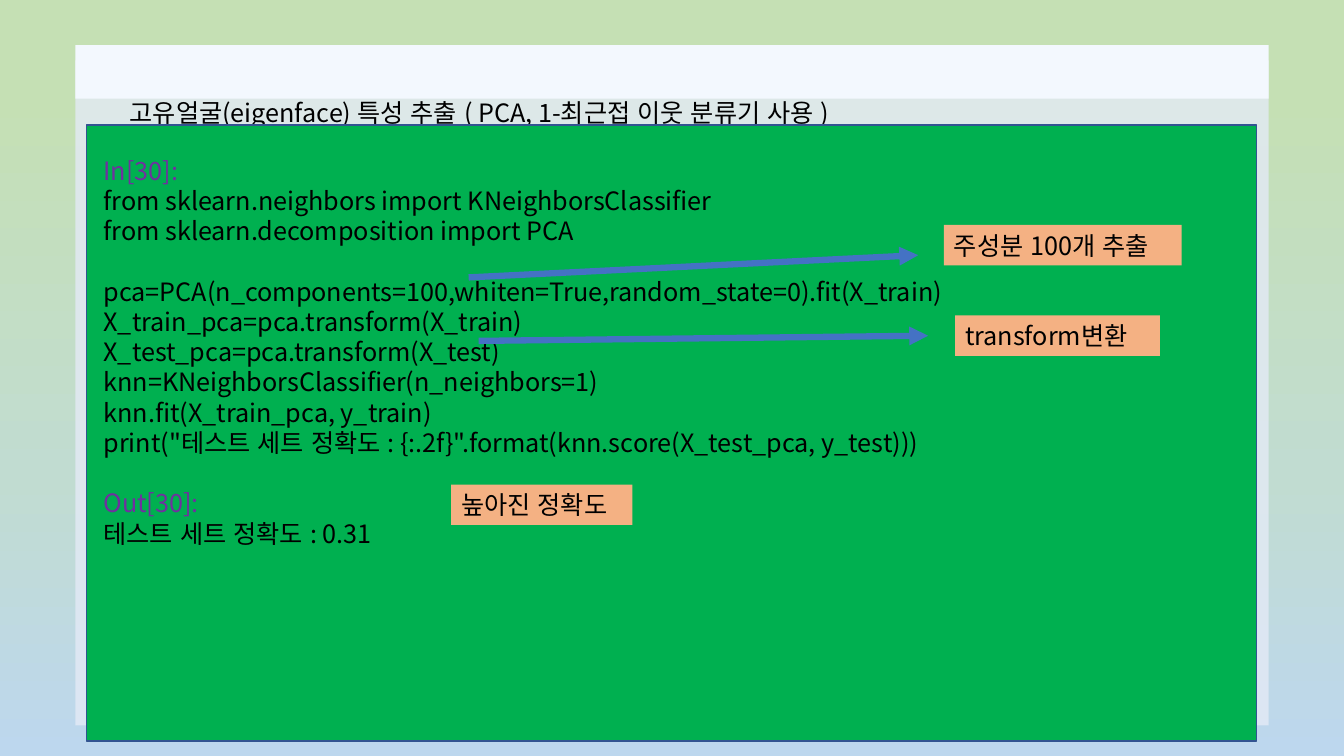
from dataclasses import dataclass

from lxml.etree import SubElement
from pptx import Presentation
from pptx.dml.color import RGBColor as RGB
from pptx.enum.lang import MSO_LANGUAGE_ID as Lang
from pptx.enum.shapes import MSO_CONNECTOR as Line, MSO_SHAPE as Shape
from pptx.enum.text import MSO_ANCHOR as Anchor, MSO_AUTO_SIZE as AutoSize, PP_ALIGN as Align
from pptx.oxml.ns import qn
from pptx.util import Cm, Pt


@dataclass(frozen=True)
class Theme:
    """Colours, font and type sizes of the slide."""
    font: str = "Noto Sans CJK KR"
    size: float = 18
    line_height: float = 21.6
    lead: float = 1.5
    text: str = "000000"
    prompt: str = "7030A0"
    panel: str = "E4EAF6"
    panel_opacity: int = 80
    band: str = "F3F8FE"
    code: str = "00B050"
    code_edge: str = "325491"
    callout: str = "F4B183"
    arrow: str = "4472C4"
    arrow_width: float = 4.5
    sky: tuple = ((12, "C5E0B4"), (63, "C1DCD1"), (100, "BDD7EE"))


T = Theme()
TITLE = "고유얼굴(eigenface) 특성 추출 ( PCA, 1-최근접 이웃 분류기 사용 )"
CODE_BLOCKS = [
    ["In[30]:",
     "from sklearn.neighbors import KNeighborsClassifier",
     "from sklearn.decomposition import PCA"],
    ["pca=PCA(n_components=100,whiten=True,random_state=0).fit(X_train)",
     "X_train_pca=pca.transform(X_train)",
     "X_test_pca=pca.transform(X_test)",
     "knn=KNeighborsClassifier(n_neighbors=1)",
     "knn.fit(X_train_pca, y_train)",
     'print("테스트 세트 정확도 : {:.2f}".format(knn.score(X_test_pca, y_test)))'],
    ["Out[30]:",
     "테스트 세트 정확도 : 0.31"],
]
CALLOUTS = [
    ("주성분 100개 추출", 21.61, 2.52, 5.99),
    ("transform변환", 21.89, 4.8, 5.16),
    ("높아진 정확도", 9.19, 9.06, 4.57),
]
ARROWS = [(9.63, 3.84, 20.96, 3.28), (9.88, 5.44, 21.21, 5.31)]


def apply(obj, formats):
    """Set every attribute named in formats on obj."""
    for name, value in formats.items():
        setattr(obj, name, value)


def add_box(s, box, color, edge=None):
    """Draw a flat rectangle with an optional thin outline."""
    sp = s.shapes.add_shape(Shape.RECTANGLE, *map(Cm, box))
    sp.shadow.inherit = False
    sp.fill.solid()
    sp.fill.fore_color.rgb = RGB.from_string(color)
    if edge:
        sp.line.color.rgb = RGB.from_string(edge)
        sp.line.width = Pt(1)
    else:
        sp.line.fill.background()
    return sp


def write(p, text, color=T.text, **formats):
    """Put one left-aligned run into a paragraph."""
    apply(p, {"alignment": Align.LEFT, **formats})
    r = p.add_run()
    r.text = text
    r.font.color.rgb = RGB.from_string(color)
    apply(r.font, {"size": Pt(T.size), "name": T.font, "language_id": Lang.KOREAN})
    SubElement(r.font._element, qn("a:ea")).set("typeface", T.font)


def add_text(s, box, wrap=True):
    """Add a text box and return its text frame."""
    tf = s.shapes.add_textbox(*map(Cm, box)).text_frame
    apply(tf, {"word_wrap": wrap, "auto_size": AutoSize.SHAPE_TO_FIT_TEXT,
               "vertical_anchor": Anchor.TOP})
    return tf


def add_background(s):
    """Fill the slide with a vertical gradient."""
    fill = s.background.fill
    fill.gradient()
    fill.gradient_angle = 270
    stops = s._element.find(".//" + qn("a:gsLst"))
    for stop in list(stops):
        stops.remove(stop)
    for position, color in T.sky:
        stop = SubElement(stops, qn("a:gs"), pos=str(position * 1000))
        SubElement(stop, qn("a:srgbClr"), val=color)


def add_header(s, x, y, w, h):
    """Draw the pale panel, its top band and the title."""
    panel = add_box(s, (x, y + 0.38, w, h), T.panel)
    color = panel._element.spPr.find(".//" + qn("a:srgbClr"))
    SubElement(color, qn("a:alpha"), val=str(T.panel_opacity * 1000))
    add_box(s, (x, y, w, 1.35), T.band)
    tf = add_text(s, (x + 1.12, y + 0.81, 29.49, 1.22))
    write(tf.paragraphs[0], TITLE, line_spacing=T.lead)


def add_code(s, x, y, w, h):
    """Draw the code panel with its lines, arrows and remarks."""
    add_box(s, (x, y, w, h), T.code, T.code_edge)
    tf = add_text(s, (x + 0.18, y + 0.25, w - 0.48, 11.4))
    for b, block in enumerate(CODE_BLOCKS):
        for i, line in enumerate(block):
            first = b == i == 0
            p = tf.paragraphs[0] if first else tf.add_paragraph()
            write(p, line, T.prompt if line.endswith("[30]:") else T.text,
                  line_spacing=T.lead if first else 1.0,
                  space_before=Pt(T.line_height if b and not i else 0))
    for x1, y1, x2, y2 in ARROWS:
        add_arrow(s, x + x1, y + y1, x + x2, y + y2)
    for text, dx, dy, width in CALLOUTS:
        add_callout(s, text, x + dx, y + dy, width)


def add_callout(s, text, x, y, w):
    """Draw one highlighted remark."""
    tf = add_text(s, (x, y, w, 1.02), wrap=False)
    sp = s.shapes[-1]
    sp.fill.solid()
    sp.fill.fore_color.rgb = RGB.from_string(T.callout)
    write(tf.paragraphs[0], text)


def add_arrow(s, *ends):
    """Draw a thick arrow from code to remark."""
    c = s.shapes.add_connector(Line.STRAIGHT, *map(Cm, ends))
    c.line.color.rgb = RGB.from_string(T.arrow)
    c.line.width = Pt(T.arrow_width)
    SubElement(c.line._get_or_add_ln(), qn("a:tailEnd"), type="triangle")
    SubElement(c._element.spPr, qn("a:effectLst"))


def main():
    """Build and save the slide."""
    prs = Presentation()
    apply(prs, {"slide_width": Cm(33.87), "slide_height": Cm(19.05)})
    s = prs.slides.add_slide(prs.slide_layouts[6])
    add_background(s)
    add_header(s, 1.9, 1.14, 30.07, 16.76)
    add_code(s, 2.18, 3.15, 29.49, 15.52)
    prs.save("out.pptx")


if __name__ == "__main__":
    main()
